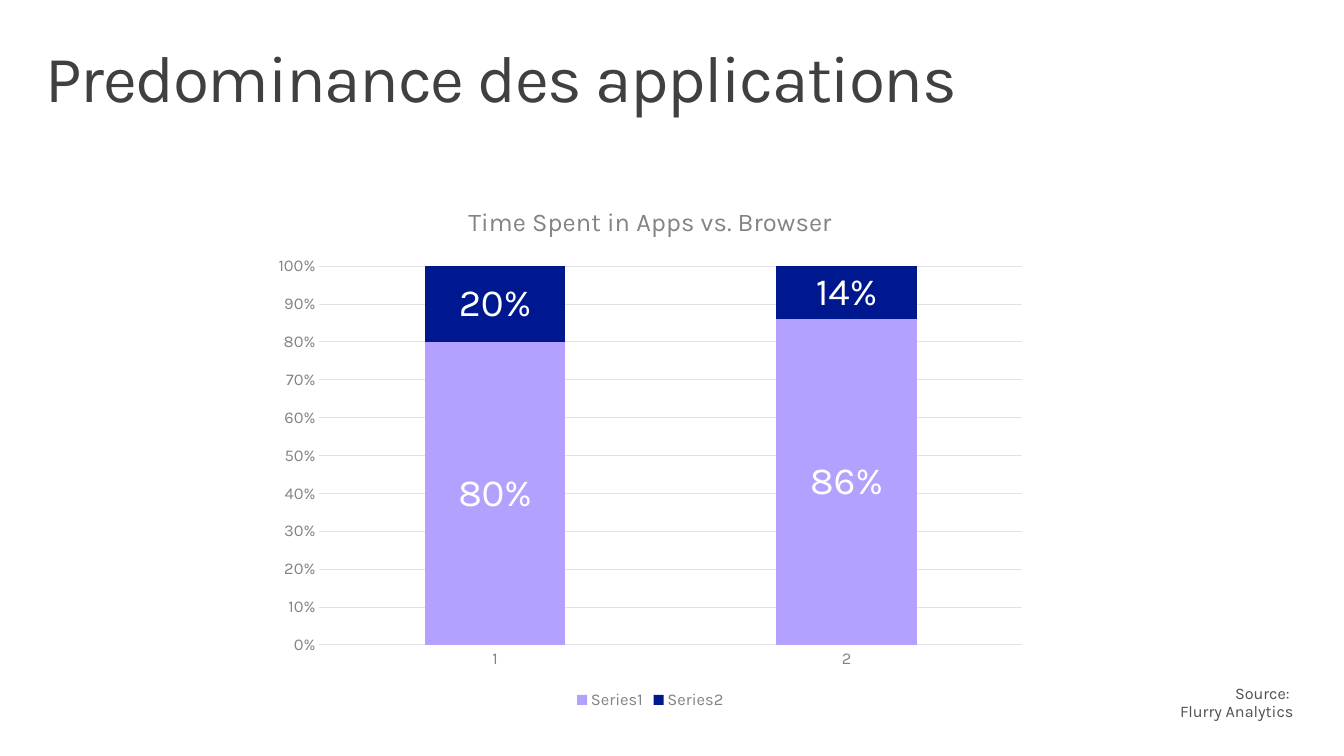
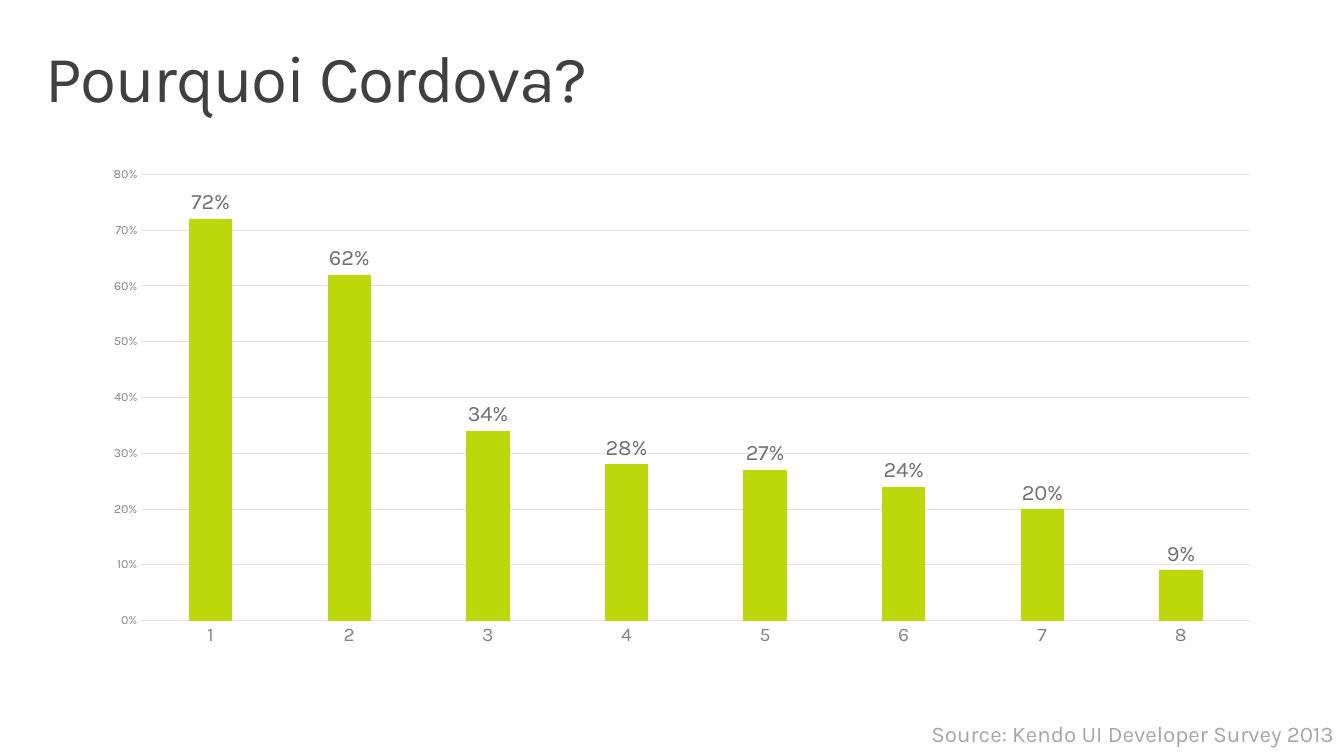
from copy import deepcopy
from dataclasses import dataclass

from pptx import Presentation
from pptx.chart.data import CategoryChartData
from pptx.dml.color import RGBColor
from pptx.enum.chart import XL_CHART_TYPE as ChartType
from pptx.enum.chart import XL_LABEL_POSITION as LabelPosition
from pptx.enum.chart import XL_LEGEND_POSITION as LegendPosition
from pptx.enum.chart import XL_TICK_MARK as TickMark
from pptx.enum.text import MSO_ANCHOR as Anchor
from pptx.enum.text import PP_ALIGN as Align
from pptx.util import Cm, Pt


@dataclass(frozen=True)
class Theme:
    font: str = "Karla"
    background: str = "FFFFFF"
    heading: str = "404040"
    axis: str = "838383"
    grid: str = "E2E2E2"
    value: str = "707070"
    white: str = "FFFFFF"
    credit: str = "505050"
    pale_credit: str = "A6A6A6"
    violet: str = "B4A0FF"
    navy: str = "00188F"
    lime: str = "BAD80A"
    heading_size: float = 48
    chart_title_size: float = 18.6
    base_size: float = 10


THEME = Theme()
SLIDE_SIZE = (34.54, 19.43)
HEADING_BOX = (0.76, 0.81, 33.02, 2.54)

SLIDES = [
    {
        "heading": "Predominance des applications",
        "chart": {
            "box": (6.76, 4.75, 19.91, 13.59),
            "kind": ChartType.COLUMN_STACKED_100,
            "title": "Time Spent in Apps vs. Browser",
            "series": [
                ("Series1", (0.8, 0.86), THEME.violet),
                ("Series2", (0.2, 0.14), THEME.navy),
            ],
            "top": 1,
            "gap": 150,
            "overlap": 100,
            "category_size": 12,
            "scale_size": 12,
            "label_size": 28,
            "label_color": THEME.white,
            "label_position": LabelPosition.CENTER,
            "legend_size": 12,
        },
        "source": {
            "text": "Source: \vFlurry Analytics",
            "box": (28.37, 17.22, 5.38, 1.7),
            "size": 11.8,
            "color": THEME.credit,
            "insets": (0.51, 0.41),
            "line_spacing": 0.9,
        },
    },
    {
        "heading": "Pourquoi Cordova?",
        "chart": {
            "box": (2.31, 4.04, 30.43, 12.85),
            "kind": ChartType.COLUMN_CLUSTERED,
            "title": None,
            "series": [
                (
                    "Series 1",
                    (0.72, 0.62, 0.34, 0.28, 0.27, 0.24, 0.2, 0.09),
                    THEME.lime,
                ),
            ],
            "top": 0.8,
            "gap": 219,
            "overlap": -27,
            "category_size": 14,
            "scale_size": 9,
            "label_size": 16,
            "label_color": THEME.value,
            "label_position": LabelPosition.OUTSIDE_END,
            "legend_size": None,
        },
        "source": {
            "text": "Source: Kendo UI Developer Survey 2013",
            "box": (22.02, 18.39, 12.52, 0.97),
            "size": 16.3,
            "color": THEME.pale_credit,
        },
    },
]


def rgb(color):
    return RGBColor.from_string(color)


def style_font(font, size, color):
    font.name = THEME.font
    font.size = Pt(size)
    font.bold = False
    font.color.rgb = rgb(color)


def add_text(slide, text, *, box, size, color, align=Align.LEFT,
             anchor=Anchor.TOP, insets=(0.25, 0.13), line_spacing=None,
             tracking=None):
    frame = slide.shapes.add_textbox(*map(Cm, box)).text_frame
    frame.word_wrap = True
    frame.vertical_anchor = anchor
    frame.margin_left = frame.margin_right = Cm(insets[0])
    frame.margin_top = frame.margin_bottom = Cm(insets[1])
    paragraph = frame.paragraphs[0]
    paragraph.text = text
    paragraph.alignment = align
    if line_spacing:
        paragraph.line_spacing = line_spacing
    for run in paragraph.runs:
        style_font(run.font, size, color)
        if tracking:
            run.font._element.set("spc", str(tracking))
    for line_break in paragraph._p.br_lst:
        line_break.append(deepcopy(paragraph.runs[0].font._element))


def style_axis(axis, size):
    axis.major_tick_mark = axis.minor_tick_mark = TickMark.NONE
    style_font(axis.tick_labels.font, size, THEME.axis)


def style_line(line):
    line.color.rgb = rgb(THEME.grid)
    line.width = Pt(0.75)


def add_columns(slide, *, box, kind, title, series, top, gap, overlap,
                category_size, scale_size, label_size, label_color,
                label_position, legend_size):
    data = CategoryChartData(number_format="0%")
    data.categories = [str(n + 1) for n in range(len(series[0][1]))]
    for name, values, _ in series:
        data.add_series(name, values)
    chart = slide.shapes.add_chart(kind, *map(Cm, box), data).chart
    style_font(chart.font, THEME.base_size, THEME.heading)

    chart.has_title = title is not None
    if title:
        heading = chart.chart_title.text_frame
        heading.text = title
        style_font(heading.paragraphs[0].runs[0].font,
                   THEME.chart_title_size, THEME.axis)
    chart.has_legend = legend_size is not None
    if legend_size:
        chart.legend.position = LegendPosition.BOTTOM
        chart.legend.include_in_layout = False
        style_font(chart.legend.font, legend_size, THEME.axis)

    style_axis(chart.category_axis, category_size)
    style_line(chart.category_axis.format.line)
    scale = chart.value_axis
    style_axis(scale, scale_size)
    scale.minimum_scale, scale.maximum_scale = 0, top
    scale.major_unit = 0.1
    scale.format.line.fill.background()
    scale.has_major_gridlines = True
    style_line(scale.major_gridlines.format.line)
    scale.tick_labels.number_format = "0%"
    scale.tick_labels.number_format_is_linked = False

    plot = chart.plots[0]
    plot.vary_by_categories = False
    plot.gap_width, plot.overlap = gap, overlap
    for columns, (_, _, color) in zip(plot.series, series):
        columns.format.fill.solid()
        columns.format.fill.fore_color.rgb = rgb(color)
        columns.invert_if_negative = False
        labels = columns.data_labels
        labels.show_value = True
        labels.number_format = "0%"
        labels.number_format_is_linked = False
        labels.position = label_position
        style_font(labels.font, label_size, label_color)


def main():
    deck = Presentation()
    deck.slide_width, deck.slide_height = map(Cm, SLIDE_SIZE)
    blank = deck.slide_layouts[6]
    for content in SLIDES:
        slide = deck.slides.add_slide(blank)
        slide.background.fill.solid()
        slide.background.fill.fore_color.rgb = rgb(THEME.background)
        add_text(slide, content["heading"], box=HEADING_BOX,
                 size=THEME.heading_size, color=THEME.heading,
                 anchor=Anchor.MIDDLE, insets=(0.41, 0.25),
                 line_spacing=0.9, tracking=-100)
        add_columns(slide, **content["chart"])
        add_text(slide, align=Align.RIGHT, **content["source"])
    deck.save("out.pptx")


if __name__ == "__main__":
    main()
